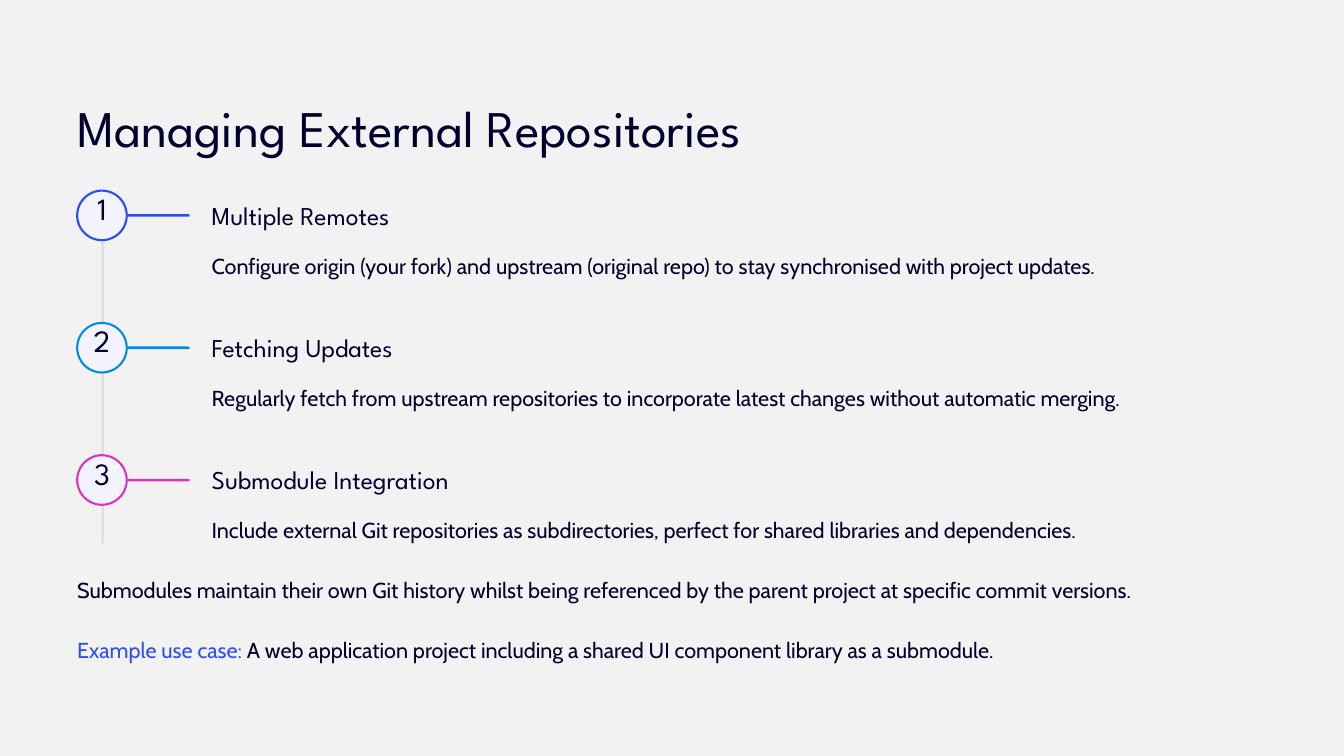
import lxml.etree
import pptx
import pptx.dml.color
import pptx.enum.shapes
import pptx.enum.text
import pptx.oxml.ns
import pptx.util

Pt = pptx.util.Pt
ALIGN = pptx.enum.text.PP_ALIGN
INK, BLUE, AZURE, PINK = "00002E", "2D4DF2", "018CE1", "DA33BF"
PALE, BACKDROP, BLACK = "F3F3FF", "F2F2F2", "000000"

HEADLINE = {"name": "League Spartan", "size": Pt(44)}
NUMERAL = {"name": "League Spartan", "size": Pt(26.5)}
HEADING = {"name": "League Spartan", "size": Pt(22)}
BODY = {"name": "Cabin", "size": Pt(18.5)}

MARGIN = 66.15
CONTENT_WIDTH = 1020
STEPS_TOP = 163.4
STEP_PITCH = 113.4
STEP_HEIGHT = 75.6
BADGE = 42.5
RULE = 2.2

STEPS = [
    (BLUE, "Multiple Remotes",
     "Configure origin (your fork) and upstream (original repo) to stay synchronised with project updates."),
    (AZURE, "Fetching Updates",
     "Regularly fetch from upstream repositories to incorporate latest changes without automatic merging."),
    (PINK, "Submodule Integration",
     "Include external Git repositories as subdirectories, perfect for shared libraries and dependencies."),
]
NOTES = [
    [("Submodules maintain their own Git history whilst being referenced by the parent project "
      "at specific commit versions.", INK)],
    [("Example use case:", BLUE),
     (" A web application project including a shared UI component library as a submodule.", INK)],
]


def paint(target, colour):
    """Give a fill one solid colour from a hex string."""
    target.solid()
    target.fore_color.rgb = pptx.dml.color.RGBColor.from_string(colour)


def add_text(slide, box, parts, style, leading, align=ALIGN.LEFT):
    """Write one line of coloured parts in a box without insets."""
    frame = slide.shapes.add_textbox(*map(Pt, box)).text_frame
    layout = {"margin_left": 0, "margin_top": 0, "margin_right": 0, "margin_bottom": 0,
              "word_wrap": False}
    for name, value in layout.items():
        setattr(frame, name, value)
    paragraph = frame.paragraphs[0]
    paragraph.alignment = align
    paragraph.line_spacing = Pt(leading)
    for words, colour in parts:
        run = paragraph.add_run()
        run.text = words
        for name, value in style.items():
            setattr(run.font, name, value)
        paint(run.font.fill, colour)


def add_round(slide, box, colour, outline=None):
    """Draw a fully rounded shape with an optional outline."""
    rounded = slide.shapes.add_shape(
        pptx.enum.shapes.MSO_SHAPE.ROUNDED_RECTANGLE, *map(Pt, box))
    rounded.adjustments[0] = 0.5
    rounded.shadow.inherit = False
    paint(rounded.fill, colour)
    if outline:
        paint(rounded.line.fill, outline)
        rounded.line.width = Pt(1.8)
    else:
        rounded.line.fill.background()
    return rounded


def add_spine(slide, box):
    """Draw the faint vertical line that links the steps."""
    spine = add_round(slide, box, BLACK)
    tint = spine.fill._xPr.find(".//" + pptx.oxml.ns.qn("a:srgbClr"))
    lxml.etree.SubElement(tint, pptx.oxml.ns.qn("a:alpha"), val="8000")


def add_step(slide, box, number, colour, heading, detail):
    """Place a numbered badge, its branch, a heading and a detail line."""
    left, top, width, height = box
    text_left = left + 115.3
    text_width = width - 115.3
    add_round(slide, (left + BADGE - 2.8, top + 20.2, 56.8, RULE), colour)
    add_round(slide, (left, top, BADGE, BADGE), PALE, colour)
    add_text(slide, (left + 8, top + 4.6, BADGE - 16, 33), [(str(number), INK)],
             NUMERAL, 26.5, ALIGN.CENTER)
    add_text(slide, (text_left, top + 6.5, 222, 27.5), [(heading, INK)], HEADING, 27.5)
    add_text(slide, (text_left, top + height - 30.2, text_width, 30.2), [(detail, INK)], BODY, 30)


def add_steps(slide, box):
    """Place the spine and the evenly spaced steps along it."""
    left, top, width, height = box
    add_spine(slide, (left + 20.8, top, RULE, height))
    for index, (colour, heading, detail) in enumerate(STEPS):
        step_box = (left, top + index * STEP_PITCH, width, STEP_HEIGHT)
        add_step(slide, step_box, index + 1, colour, heading, detail)


def add_notes(slide, box):
    """Place the closing lines at an even distance."""
    left, top, width, height = box
    for index, parts in enumerate(NOTES):
        line_top = top + index * height / len(NOTES)
        add_text(slide, (left, line_top, width, 30.2), parts, BODY, 30)


def main():
    """Build the slide and save it."""
    deck = pptx.Presentation()
    deck.slide_width, deck.slide_height = Pt(1152), Pt(648)
    slide = deck.slides.add_slide(deck.slide_layouts[6])
    paint(slide.background.fill, BACKDROP)
    add_text(slide, (MARGIN, 80, 643, 55.4), [("Managing External Repositories", INK)], HEADLINE, 55)
    steps_height = STEP_PITCH * (len(STEPS) - 1) + STEP_HEIGHT
    add_steps(slide, (MARGIN, STEPS_TOP, CONTENT_WIDTH, steps_height))
    add_notes(slide, (MARGIN, 487, CONTENT_WIDTH, 103))
    deck.save("out.pptx")


if __name__ == "__main__":
    main()
